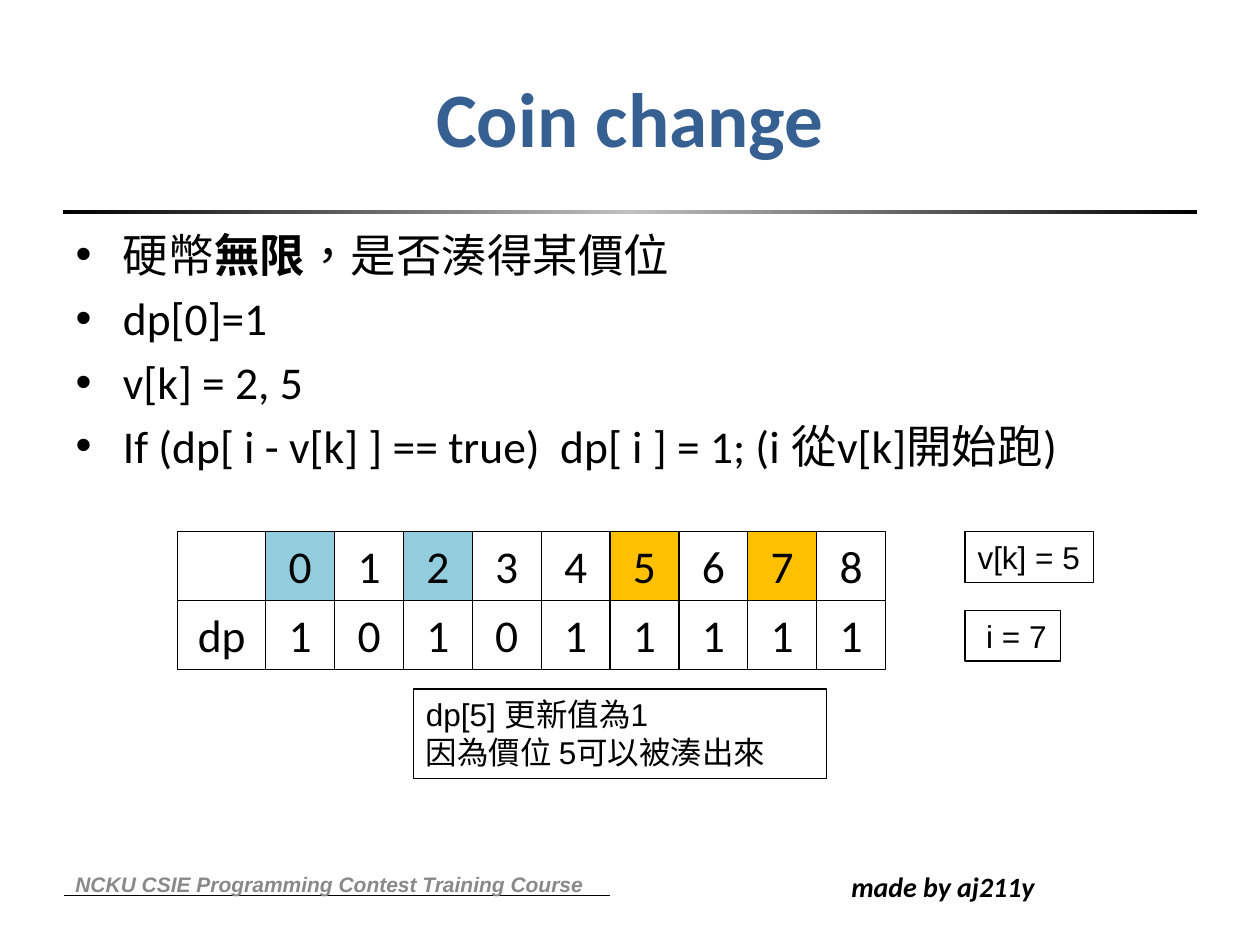
"""Build the coin change slide with its dp grid."""
from copy import deepcopy
from dataclasses import dataclass

from lxml import etree
from pptx import Presentation
from pptx.dml.color import RGBColor
from pptx.enum import shapes, text
from pptx.oxml import ns
from pptx.util import Pt


@dataclass(frozen=True)
class Theme:
    black: str = "000000"
    white: str = "FFFFFF"
    title: str = "376092"
    footer: str = "898989"
    rule_middle: str = "C0C0C0"
    first_pair: str = "93CDDD"
    second_pair: str = "FFC000"
    heading_font: str = "Calibri"
    note_font: str = "Arial"
    title_size: float = 44
    body_size: float = 26
    note_size: float = 18
    credit_size: float = 16
    footer_size: float = 12
    border: float = 0.75


THEME = Theme()
BULLETS = [
    [("硬幣", False), ("無限", True), ("，是否湊得某價位", False)],
    [("dp[0]=1", False)],
    [("v[k] = 2, 5", False)],
    [("If (dp[ i - v[k] ] == true)  dp[ i ] = 1; (i 從v[k]開始跑)", False)],
]
DP_ROWS = [["", *range(9)], ["dp", 1, 0, 1, 0, 1, 1, 1, 1, 1]]
HIGHLIGHTS = {0: THEME.first_pair, 2: THEME.first_pair,
              5: THEME.second_pair, 7: THEME.second_pair}


def rgb(color):
    return RGBColor.from_string(color)


def place(item, left, top, width, height):
    item.left, item.top, item.width, item.height = map(Pt, (left, top, width, height))


def style(paragraph, size, font, color=THEME.black, bold=None, italic=None):
    for run in paragraph.runs:
        run.font.size, run.font.name = Pt(size), font
        run.font.color.rgb = rgb(color)
        run._r.get_or_add_rPr().set("lang", "zh-TW")
        if bold is not None:
            run.font.bold = bold
        if italic is not None:
            run.font.italic = italic


def fill_title(title):
    place(title, 36, 21.6, 648, 90)
    title.text_frame.text = "Coin change"
    title.text_frame.vertical_anchor = text.MSO_ANCHOR.MIDDLE
    style(title.text_frame.paragraphs[0], THEME.title_size, THEME.heading_font,
          THEME.title, bold=True)


def fill_bullets(body):
    place(body, 36, 126, 648, 356.4)
    frame = body.text_frame
    frame.auto_size = text.MSO_AUTO_SIZE.NONE
    for index, parts in enumerate(BULLETS):
        bullet = frame.add_paragraph() if index else frame.paragraphs[0]
        bullet.space_before = Pt(5.2 if index else 0)
        for words, bold in parts:
            run = bullet.add_run()
            run.text, run.font.bold = words, bold
        style(bullet, THEME.body_size, THEME.heading_font)


def add_box(slide, left, top, width, height):
    box = slide.shapes.add_shape(shapes.MSO_SHAPE.RECTANGLE,
                                 Pt(left), Pt(top), Pt(width), Pt(height))
    box.shadow.inherit = False
    return box


def add_gradient_rule(slide):
    rule = add_box(slide, 36, 120.2, 648, 2.2)
    rule.line.fill.background()
    rule.fill.gradient()
    rule.fill.gradient_angle = 0
    stops = rule._element.spPr.find(".//" + ns.qn("a:gsLst"))
    stops.insert(1, deepcopy(stops[0]))
    colors = (THEME.black, THEME.rule_middle, THEME.black)
    for stop, position, color in zip(rule.fill.gradient_stops, (0, 0.5, 1), colors):
        stop.position, stop.color.rgb = position, rgb(color)


def add_footer_line(slide):
    line = slide.shapes.add_connector(shapes.MSO_CONNECTOR.STRAIGHT,
                                      Pt(36.7), Pt(511.9), Pt(348.5), Pt(511.9))
    line.line.color.rgb, line.line.width = rgb(THEME.black), Pt(0.5)
    etree.SubElement(line._element.spPr, ns.qn("a:effectLst"))


def add_label(slide, box, words, size, color=THEME.black, font=THEME.heading_font,
              align=text.PP_ALIGN.LEFT, anchor=text.MSO_ANCHOR.TOP):
    label = slide.shapes.add_textbox(*map(Pt, box))
    frame = label.text_frame
    frame.text, frame.word_wrap, frame.vertical_anchor = words, True, anchor
    frame.paragraphs[0].alignment = align
    style(frame.paragraphs[0], size, font, color, bold=True, italic=True)


def add_framed_box(slide, box, words, size, font, fill=THEME.white,
                   align=text.PP_ALIGN.LEFT, wrap=True):
    framed = add_box(slide, *box)
    framed.fill.solid()
    framed.fill.fore_color.rgb = rgb(fill)
    framed.line.color.rgb, framed.line.width = rgb(THEME.black), Pt(THEME.border)
    frame = framed.text_frame
    frame.text, frame.word_wrap = words, wrap
    frame.vertical_anchor = text.MSO_ANCHOR.TOP
    frame.paragraphs[0].alignment = align
    style(frame.paragraphs[0], size, font)


def add_dp_grid(slide):
    left, top, label_width, cell_width, cell_height = 101.5, 303.9, 50.4, 39.35, 39.25
    for row, (label, *values) in enumerate(DP_ROWS):
        y = top + row * cell_height
        cells = [(left, label_width, label)]
        cells += [(left + label_width + column * cell_width, cell_width, value)
                  for column, value in enumerate(values)]
        for x, width, value in cells:
            fill = THEME.white if row else HIGHLIGHTS.get(value, THEME.white)
            add_framed_box(slide, (x, y, width, cell_height), str(value), THEME.body_size,
                           THEME.heading_font, fill, text.PP_ALIGN.CENTER)


def add_note(slide, box, words, wrap=False):
    add_framed_box(slide, box, words, THEME.note_size, THEME.note_font, wrap=wrap)


def main():
    deck = Presentation()
    deck.slide_width, deck.slide_height = Pt(720), Pt(540)
    slide = deck.slides.add_slide(deck.slide_layouts[1])
    fill_title(slide.shapes.title)
    fill_bullets(slide.placeholders[1])
    add_gradient_rule(slide)
    add_footer_line(slide)
    add_label(slide, (36, 491, 306.7, 28.8), "NCKU CSIE Programming Contest Training Course",
              THEME.footer_size, THEME.footer, THEME.note_font,
              anchor=text.MSO_ANCHOR.MIDDLE)
    add_label(slide, (383, 493.2, 311.8, 26.6), "made by aj211y", THEME.credit_size,
              align=text.PP_ALIGN.CENTER)
    add_dp_grid(slide)
    add_note(slide, (551.5, 303.9, 73.4, 29), "v[k] = 5")
    add_note(slide, (551.5, 348.8, 54.7, 29), " i = 7")
    add_note(slide, (236.2, 393.8, 236.2, 51), "dp[5] 更新值為1\v因為價位 5可以被湊出來", wrap=True)
    deck.save("out.pptx")


if __name__ == "__main__":
    main()
